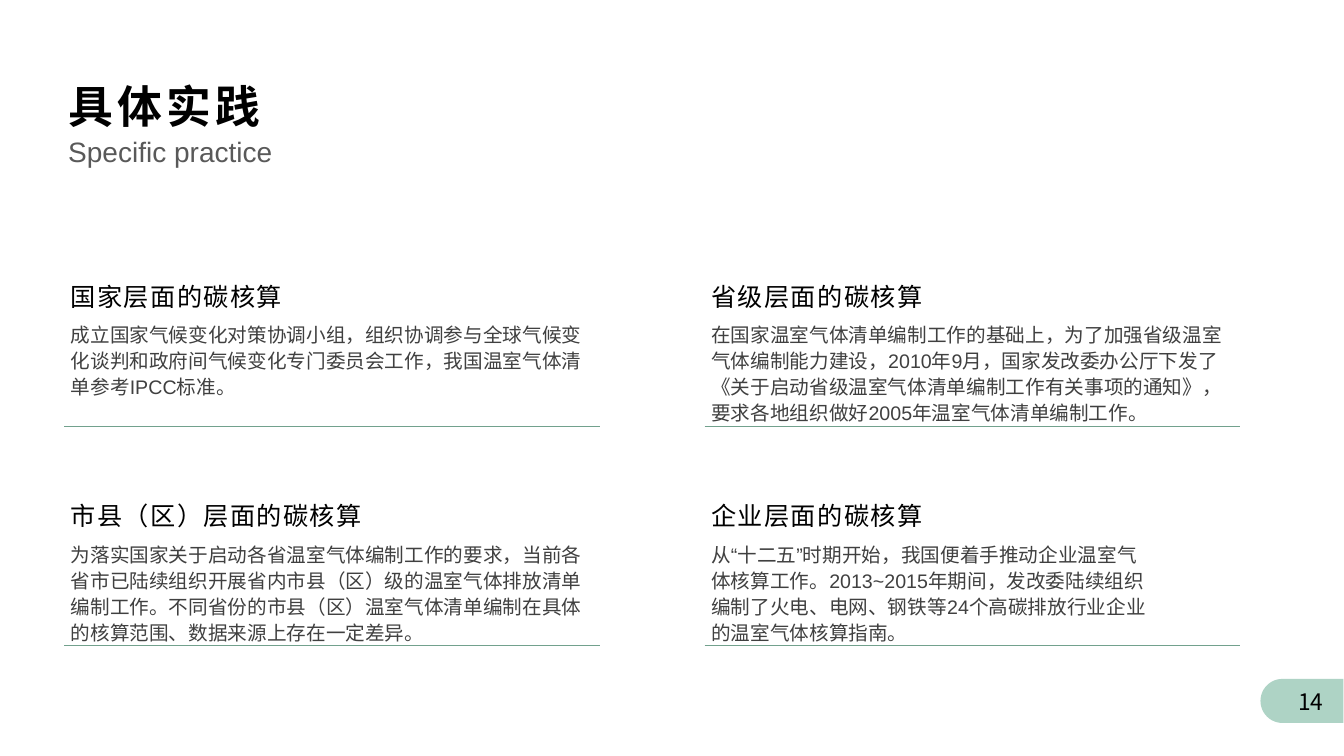
from pptx import Presentation
from pptx.dml.color import RGBColor
from pptx.enum.shapes import MSO_CONNECTOR, MSO_SHAPE
from pptx.enum.text import MSO_ANCHOR, MSO_AUTO_SIZE, PP_ALIGN
from pptx.oxml.ns import qn
from pptx.util import Pt
from lxml.etree import SubElement

PX = 9525
BLACK = RGBColor(0x00, 0x00, 0x00)
DARK_GREY = RGBColor(0x40, 0x40, 0x40)
GREY = RGBColor(0x59, 0x59, 0x59)
GREEN = RGBColor(0x72, 0xA1, 0x8D)
MINT = RGBColor(0xAE, 0xD3, 0xC5)

LEFT, TOP = 58, 263
COLUMN_STEP, ROW_STEP = 610, 209

LEVELS = [
    ("国家层面的碳核算", [
        "成立国家气候变化对策协调小组，组织协调参与全球气候变化谈判和政府间气候变化专门委员会工作，我国温室气体清单参考IPCC标准。",
    ]),
    ("省级层面的碳核算", [
        "在国家温室气体清单编制工作的基础上，为了加强省级温室气体编制能力建设，2010年9月，国家发改委办公厅下发了《关于启动省级温室气体清单编制工作有关事项的通知》，",
        "要求各地组织做好2005年温室气体清单编制工作。",
    ]),
    ("市县（区）层面的碳核算", [
        "为落实国家关于启动各省温室气体编制工作的要求，当前各",
        "省市已陆续组织开展省内市县（区）级的温室气体排放清单编制工作。不同省份的市县（区）温室气体清单编制在具体的核算范围、数据来源上存在一定差异。",
    ]),
    ("企业层面的碳核算", [
        "从“十二五”时期开始，我国便着手推动企业温室气",
        "体核算工作。2013~2015年期间，发改委陆续组织",
        "编制了火电、电网、钢铁等24个高碳排放行业企业",
        "的温室气体核算指南。",
    ]),
]


def px(*lengths):
    return [length * PX for length in lengths]


def format_text(frame, font, size, color, bold=False, tracking=0,
                spacing=None, align=PP_ALIGN.LEFT):
    for para in frame.paragraphs:
        para.alignment = align
        if spacing:
            para.line_spacing = spacing
        for span in para.runs:
            span.font.name = font
            span.font.size = Pt(size)
            span.font.bold = bold
            span.font.color.rgb = color
            properties = span.font._element
            properties.set("lang", "zh-CN")
            SubElement(properties, qn("a:ea"), typeface=font)
            if tracking:
                properties.set("spc", str(tracking * 100))


def add_text(page, place, text, font, size, color, **style):
    frame = page.shapes.add_textbox(*px(*place)).text_frame
    frame.word_wrap = True
    frame.text = text
    format_text(frame, font, size, color, **style)
    return frame


def add_title(page, text):
    title = page.shapes.title
    title.left, title.top, title.width, title.height = px(65, 70, 196, 61)
    frame = title.text_frame
    frame.text = text
    frame.margin_left = 0
    frame.vertical_anchor = MSO_ANCHOR.TOP
    frame.word_wrap = False
    frame.auto_size = MSO_AUTO_SIZE.SHAPE_TO_FIT_TEXT
    format_text(frame, "Noto Sans CJK TC", 32, BLACK, bold=True, tracking=3)


def add_rule(page, left, top, width):
    rule = page.shapes.add_connector(
        MSO_CONNECTOR.STRAIGHT, *px(left, top, left + width, top))
    rule.line.color.rgb = GREEN
    rule.line.width = Pt(0.5)
    SubElement(rule._element.spPr, qn("a:effectLst"))


def add_level(page, left, top, heading, lines):
    add_text(page, (left, top + 38, 516, 110), "\n".join(lines),
             "Arial", 14, DARK_GREY, spacing=1.1)
    add_rule(page, left + 3, top + 143, 510)
    add_text(page, (left, top, 445, 45), heading,
             "Courier New", 18, BLACK, tracking=1)


def add_page_number(page, number):
    tab = page.shapes.add_shape(
        MSO_SHAPE.ROUND_2_SAME_RECTANGLE, *px(1219, 628, 42, 79))
    tab.rotation = 270
    tab.adjustments[0] = 0.5
    tab.adjustments[1] = 0
    tab.shadow.inherit = False
    tab.fill.solid()
    tab.fill.fore_color.rgb = MINT
    tab.line.fill.background()
    frame = add_text(page, (1221, 649, 49, 38), number,
                     "Noto Sans CJK SC", 16.2, BLACK, align=PP_ALIGN.RIGHT)
    frame.vertical_anchor = MSO_ANCHOR.MIDDLE


def main():
    deck = Presentation()
    deck.slide_width, deck.slide_height = px(1280, 720)
    page = deck.slides.add_slide(deck.slide_layouts[5])
    add_title(page, "具体实践")
    subtitle = add_text(page, (65, 127, 575, 42), "Specific practice",
                        "Arial", 20, GREY, spacing=0.9)
    subtitle.margin_left = 0
    for index, (heading, lines) in enumerate(LEVELS):
        row, column = divmod(index, 2)
        add_level(page, LEFT + column * COLUMN_STEP, TOP + row * ROW_STEP,
                  heading, lines)
    add_page_number(page, "14")
    deck.save("out.pptx")


if __name__ == "__main__":
    main()
